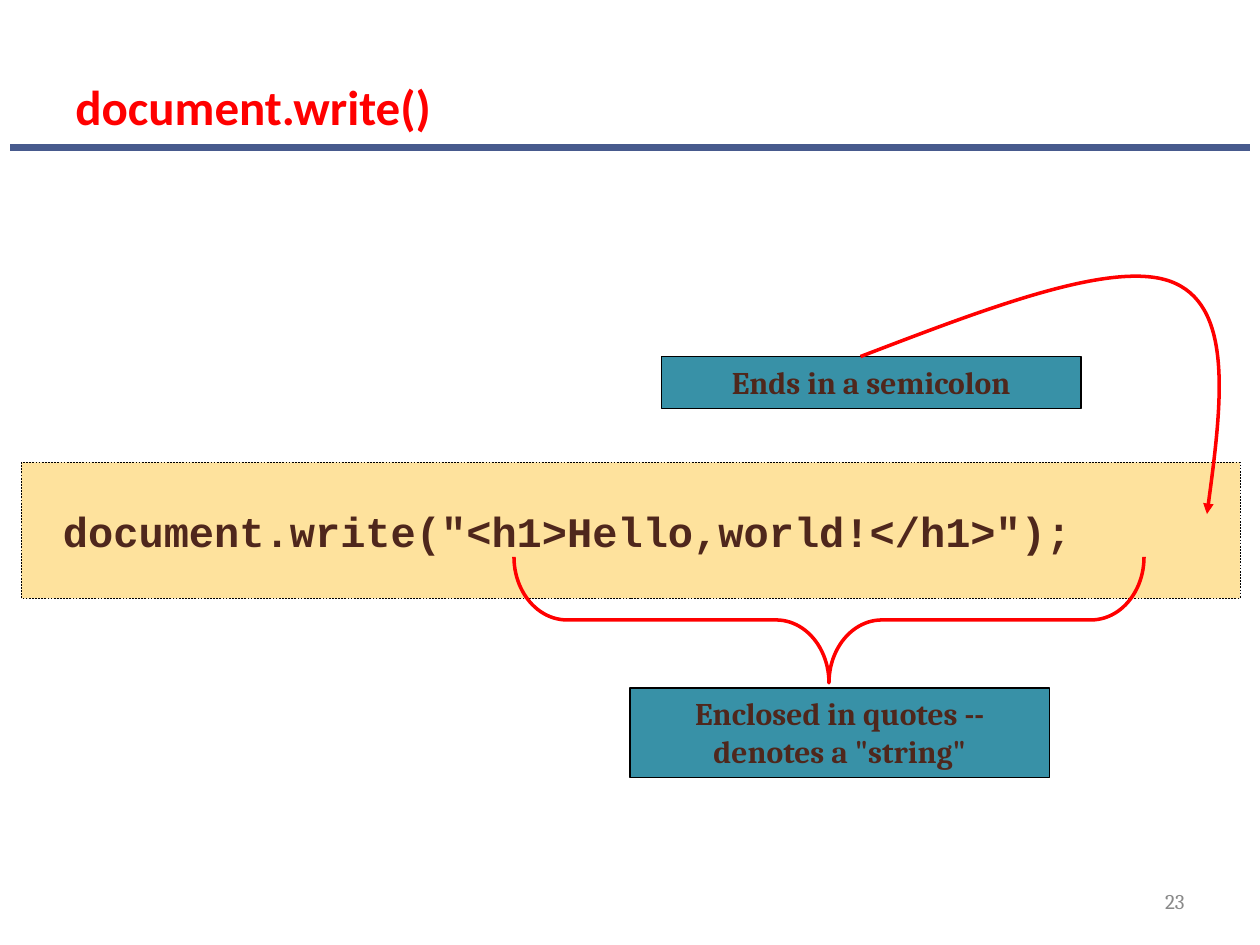
import pptx
import pptx.util
import pptx.dml.color
import pptx.enum.dml
import pptx.enum.shapes
import pptx.enum.text
import pptx.oxml
import pptx.oxml.ns

Inches = pptx.util.Inches
Pt = pptx.util.Pt
RGBColor = pptx.dml.color.RGBColor
SHAPE = pptx.enum.shapes.MSO_SHAPE
ALIGN = pptx.enum.text.PP_ALIGN
ANCHOR = pptx.enum.text.MSO_ANCHOR
qn = pptx.oxml.ns.qn

RED = RGBColor(0xFF, 0x00, 0x00)
BLUE = RGBColor(0x47, 0x5A, 0x8D)
TEAL = RGBColor(0x38, 0x91, 0xA7)
AMBER = RGBColor(0xFE, 0xB8, 0x0A)
BROWN = RGBColor(0x4F, 0x27, 0x1C)
GREY = RGBColor(0x89, 0x89, 0x89)
BLACK = RGBColor(0x00, 0x00, 0x00)

TITLE = {"name": "Calibri", "size": Pt(28), "bold": True}
CODE = {"name": "Courier New", "size": Pt(24), "bold": True}
NOTE = {"name": "Cambria", "size": Pt(18), "bold": True}
NUMBER = {"name": "Cambria", "size": Pt(12), "bold": False}


def inches(*lengths):
    return [Inches(length) for length in lengths]


def append_xml(parent, tag, **attributes):
    element = pptx.oxml.parse_xml(f"<{tag} {pptx.oxml.ns.nsdecls('a')}/>")
    for name, value in attributes.items():
        element.set(name, value)
    parent.append(element)
    return element


def write(holder, text, font, color, align=ALIGN.LEFT, anchor=ANCHOR.TOP, left=0.1):
    frame = holder.text_frame
    layout = {"word_wrap": True, "vertical_anchor": anchor, "margin_left": Inches(left)}
    for name, value in layout.items():
        setattr(frame, name, value)
    paragraph = frame.paragraphs[0]
    paragraph.alignment = align
    run = paragraph.add_run()
    run.text = text
    for name, value in font.items():
        setattr(run.font, name, value)
    run.font.color.rgb = color


def outline(shape, color, width):
    shape.line.color.rgb = color
    shape.line.width = Pt(width)


def add_label(slide, box, text, font, color, align, anchor):
    write(slide.shapes.add_textbox(*inches(*box)), text, font, color, align, anchor)


def add_box(slide, box, fill, width):
    panel = slide.shapes.add_shape(SHAPE.RECTANGLE, *inches(*box))
    panel.shadow.inherit = False
    panel.fill.solid()
    panel.fill.fore_color.rgb = fill
    outline(panel, BLACK, width)
    return panel


def add_callout(slide, box, text):
    write(add_box(slide, box, TEAL, 0.75), text, NOTE, BROWN, ALIGN.CENTER)


def add_code(slide, box, text):
    panel = add_box(slide, box, AMBER, 0.25)
    panel.line.dash_style = pptx.enum.dml.MSO_LINE.DASH
    amber = next(panel.element.spPr.iter(qn("a:srgbClr")))
    append_xml(amber, "a:alpha", val="40000")
    write(panel, text, CODE, BROWN, anchor=ANCHOR.MIDDLE, left=0.33)


def add_rule(slide, start, end):
    rule = slide.shapes.add_connector(
        pptx.enum.shapes.MSO_CONNECTOR.STRAIGHT, *inches(*start, *end))
    outline(rule, BLUE, 4)
    append_xml(rule.element.spPr, "a:effectLst")


def add_brace(slide, box):
    brace = slide.shapes.add_shape(SHAPE.LEFT_BRACE, *inches(*box))
    brace.shadow.inherit = False
    brace.rotation = 270
    brace.adjustments[0] = 0.42
    brace.fill.background()
    outline(brace, RED, 2)


def add_curved_arrow(slide, start, controls):
    builder = slide.shapes.build_freeform(*inches(*start), scale=1.0)
    builder.add_line_segments([inches(*point) for point in controls], close=False)
    arrow = builder.convert_to_shape()
    arrow.shadow.inherit = False
    arrow.fill.background()
    outline(arrow, RED, 2)
    append_xml(arrow.line._get_or_add_ln(), "a:tailEnd", type="triangle")

    route = next(arrow.element.spPr.iter(qn("a:path")))
    segments = route.findall(qn("a:lnTo"))
    for first in range(0, len(segments), 3):
        curve = append_xml(route, "a:cubicBezTo")
        for segment in segments[first:first + 3]:
            curve.append(segment[0])
            route.remove(segment)


def main():
    deck = pptx.Presentation()
    deck.slide_width, deck.slide_height = inches(10, 7.5)
    slide = deck.slides.add_slide(deck.slide_layouts[6])

    add_rule(slide, (0.08, 1.17), (9.92, 1.17))
    add_label(slide, (7.17, 6.95, 2.33, 0.4), "23", NUMBER, GREY,
              ALIGN.RIGHT, ANCHOR.MIDDLE)
    add_label(slide, (0.5, 0.34, 9, 0.78), "document.write()", TITLE, RED,
              ALIGN.LEFT, ANCHOR.BOTTOM)
    add_code(slide, (0.17, 3.67, 9.67, 1.08),
             'document.write("<h1>Hello,world!</h1>");')
    add_brace(slide, (6.08, 2.42, 1, 5))
    add_callout(slide, (5, 5.46, 3.33, 0.71),
                'Enclosed in quotes -- denotes a "string"')
    add_callout(slide, (5.25, 2.83, 3.33, 0.41), "Ends in a semicolon")
    add_curved_arrow(slide, (6.83, 2.83), [
        (7.85, 2.44), (8.88, 2.04), (9.33, 2.25),
        (9.79, 2.46), (9.69, 3.27), (9.58, 4.08)])

    deck.save("out.pptx")


if __name__ == "__main__":
    main()
